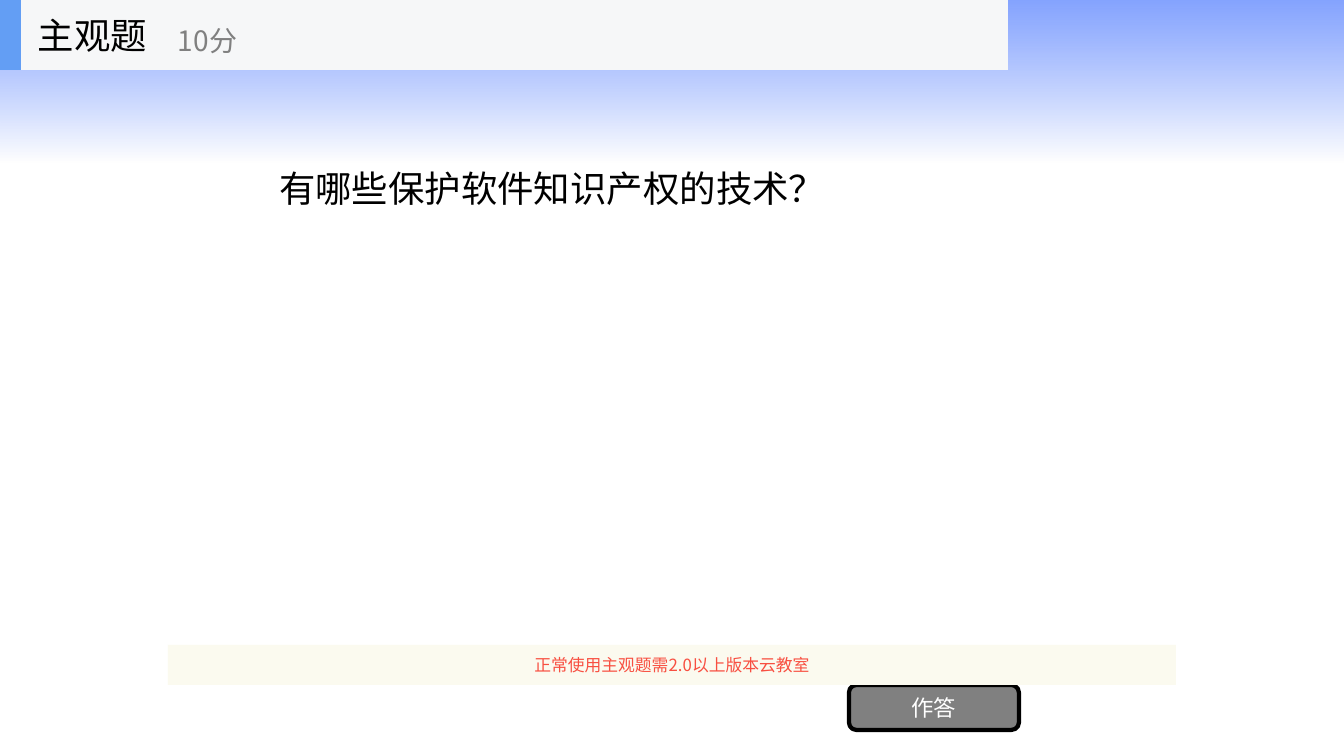
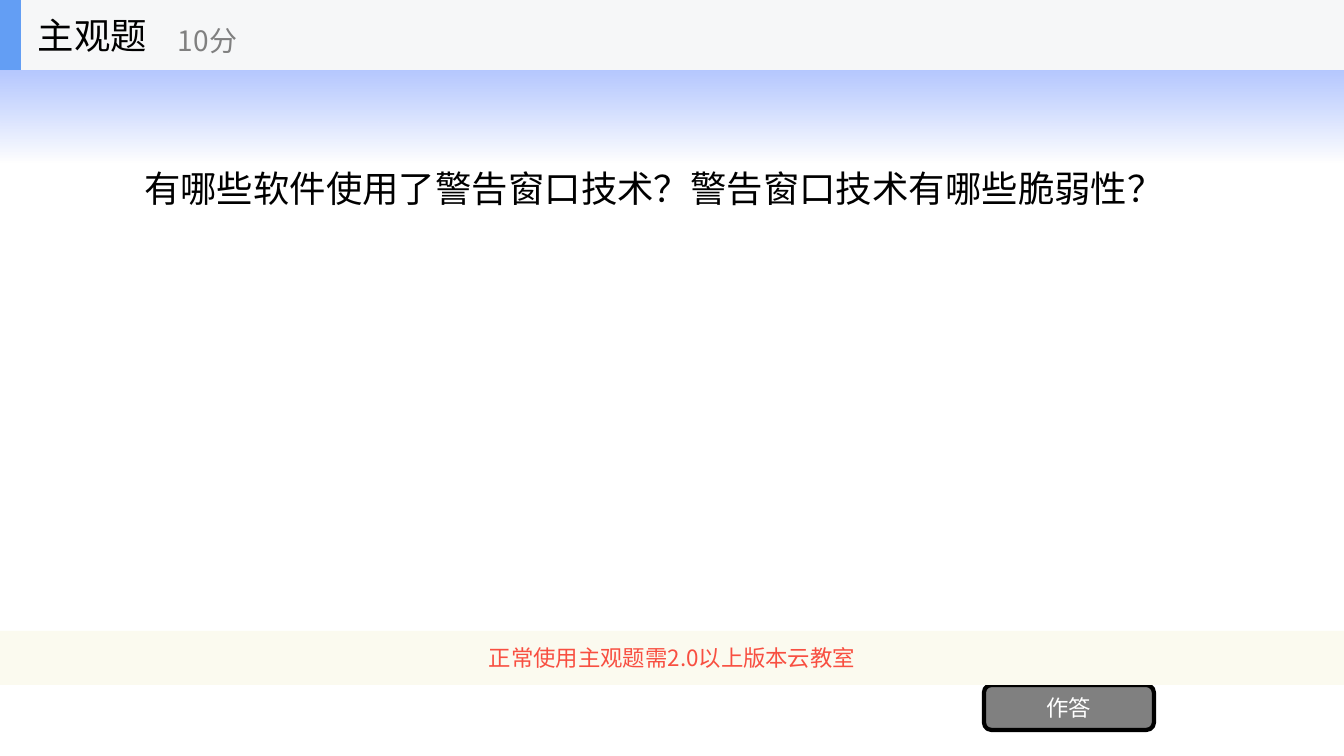
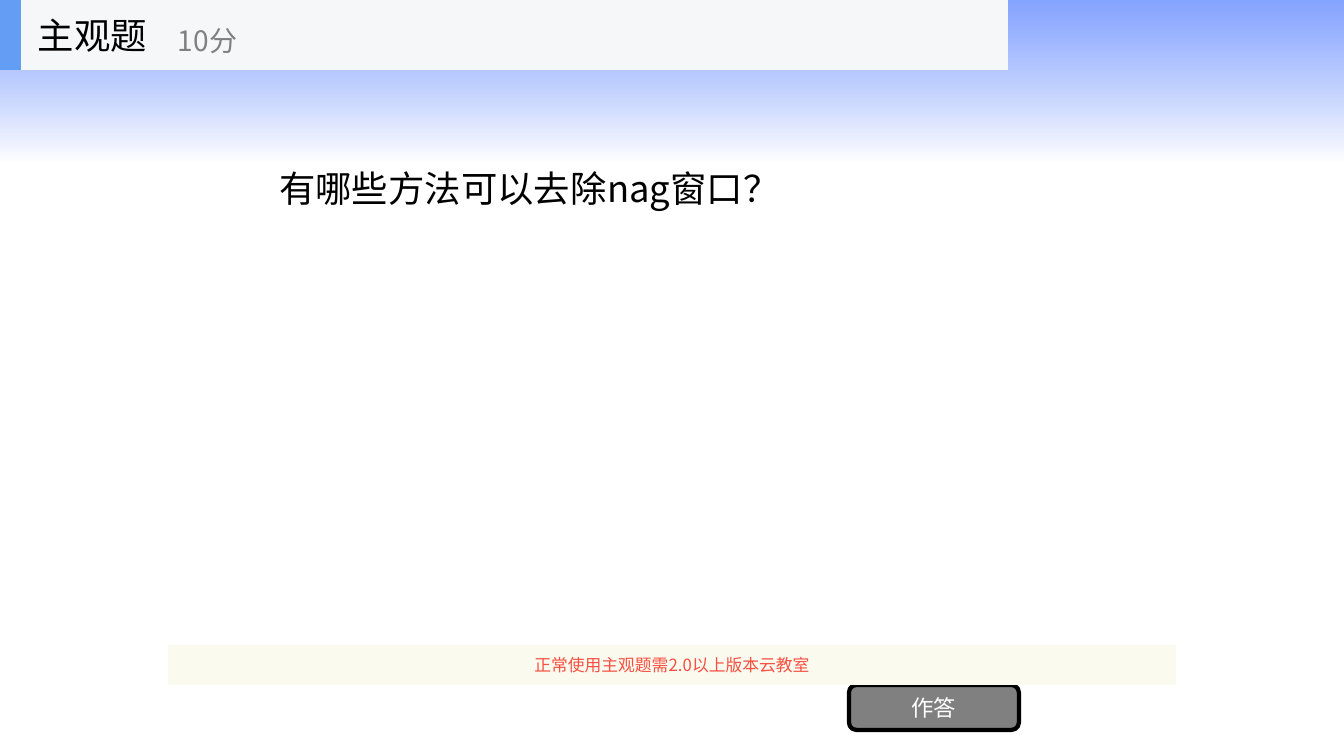
from dataclasses import dataclass

from lxml import etree
from pptx import Presentation
from pptx import util as u
from pptx.dml.color import RGBColor
from pptx.enum import shapes, text
from pptx.oxml.ns import qn

EMU_PER_PX = 914400 / 100.8
SLIDE_W, SLIDE_H = 1344, 756
FONT = "Noto Sans CJK SC"
BLACK, WHITE, GRAY = "000000", "FFFFFF", "808080"
HEADER_FILL, ACCENT = "F6F7F8", "639EF4"
NOTICE_FILL, NOTICE_TEXT = "FBFAEF", "F84F41"
BAND_STOPS = (("3366FF", 60), ("FFFFFF", 70))
HEADER_H = 70
NOTICE_BOTTOM = 685

RECT = shapes.MSO_SHAPE.RECTANGLE
ROUNDED = shapes.MSO_SHAPE.ROUNDED_RECTANGLE
LEFT, CENTER = text.PP_ALIGN.LEFT, text.PP_ALIGN.CENTER


@dataclass(frozen=True)
class Box:
    left: int
    top: int
    width: int
    height: int

    def emu(self) -> list[u.Emu]:
        return [px(n) for n in (self.left, self.top, self.width, self.height)]


@dataclass(frozen=True)
class Question:
    wording: str
    frame_w: int  # width of the centred exercise frame


@dataclass(frozen=True)
class Label:
    wording: str
    box: Box
    size: int
    color: str


QUESTIONS = (
    Question("有哪些保护软件知识产权的技术？", 1008),
    Question("有哪些软件使用了警告窗口技术？警告窗口技术有哪些脆弱性？", 1344),
    Question("有哪些方法可以去除nag窗口？", 1008),
)
HEADER_LABELS = (
    Label("主观题", Box(28, 0, 210, HEADER_H), 26, BLACK),
    Label("10分", Box(168, 12, 252, 57), 20, GRAY),
)


def px(n: int) -> u.Emu:
    return u.Emu(round(n * EMU_PER_PX))


def rgb(value: str) -> RGBColor:
    return RGBColor.from_string(value)


def write(shape, wording: str, size: int, color: str, align=LEFT, wrap: bool = True) -> None:
    frame = shape.text_frame
    frame.text = wording
    frame.auto_size = text.MSO_AUTO_SIZE.NONE
    frame.word_wrap = wrap
    frame.vertical_anchor = text.MSO_ANCHOR.MIDDLE
    paragraph = frame.paragraphs[0]
    paragraph.alignment = align
    font = paragraph.runs[0].font
    font.name, font.size, font.color.rgb = FONT, u.Pt(size), rgb(color)
    east_asian = etree.SubElement(paragraph.runs[0].font._element, qn("a:ea"))
    east_asian.set("typeface", FONT)


def add_block(parent, box: Box, fill: str, kind=RECT):
    block = parent.add_shape(kind, *box.emu())
    block.shadow.inherit = False
    block.fill.solid()
    block.fill.fore_color.rgb = rgb(fill)
    block.line.fill.background()
    return block


def add_layout_band(slide) -> None:
    """Put the fading band behind everything on the shared layout."""
    band = add_block(slide.shapes, Box(0, 0, SLIDE_W, 163), WHITE)
    band.fill.gradient()
    band.fill.gradient_angle = 270
    for stop, (color, opacity) in zip(band.fill.gradient_stops, BAND_STOPS):
        stop.color.rgb = rgb(color)
    colors = band.element.spPr.find(qn("a:gradFill")).iter(qn("a:srgbClr"))
    for node, (color, opacity) in zip(list(colors), BAND_STOPS):
        etree.SubElement(node, qn("a:alpha")).set("val", str(opacity * 1000))
    slide.slide_layout.shapes.element.insert(2, band.element)


def add_header(slide, width: int) -> None:
    header = slide.shapes.add_group_shape().shapes
    add_block(header, Box(0, 0, width, HEADER_H), HEADER_FILL)
    add_block(header, Box(0, 0, 21, HEADER_H), ACCENT)
    for label in HEADER_LABELS:
        caption = header.add_textbox(*label.box.emu())
        write(caption, label.wording, label.size, label.color)


def fill_slide(slide, question: Question) -> None:
    frame_w = question.frame_w
    frame_left = (SLIDE_W - frame_w) // 2

    # Question: a tenth of the frame is left free on each side
    margin = round(frame_w / 10)
    body = Box(frame_left + margin, HEADER_H, frame_w - 2 * margin, 236)
    title = slide.shapes.title
    title.left, title.top, title.width, title.height = body.emu()
    write(title, question.wording, 26, BLACK)

    # Answer button
    button_box = Box(body.left + body.width - 226, NOTICE_BOTTOM, 170, 45)
    button = add_block(slide.shapes, button_box, GRAY, ROUNDED)
    button.line.color.rgb = rgb(BLACK)
    button.line.width = u.Pt(3)
    write(button, "作答", 16, WHITE, CENTER)

    # Version notice, scaled with the frame
    notice_h = round(frame_w / 25)
    notice_box = Box(frame_left, NOTICE_BOTTOM - notice_h, frame_w, notice_h)
    notice = add_block(slide.shapes, notice_box, NOTICE_FILL)
    write(notice, "正常使用主观题需2.0以上版本云教室", frame_w // 84, NOTICE_TEXT, CENTER, wrap=False)

    add_header(slide, frame_w)


def main() -> None:
    deck = Presentation()
    deck.slide_width, deck.slide_height = px(SLIDE_W), px(SLIDE_H)
    title_only = deck.slide_layouts[5]
    for number, question in enumerate(QUESTIONS):
        slide = deck.slides.add_slide(title_only)
        if number == 0:
            add_layout_band(slide)
        fill_slide(slide, question)
    deck.save("out.pptx")


if __name__ == "__main__":
    main()
